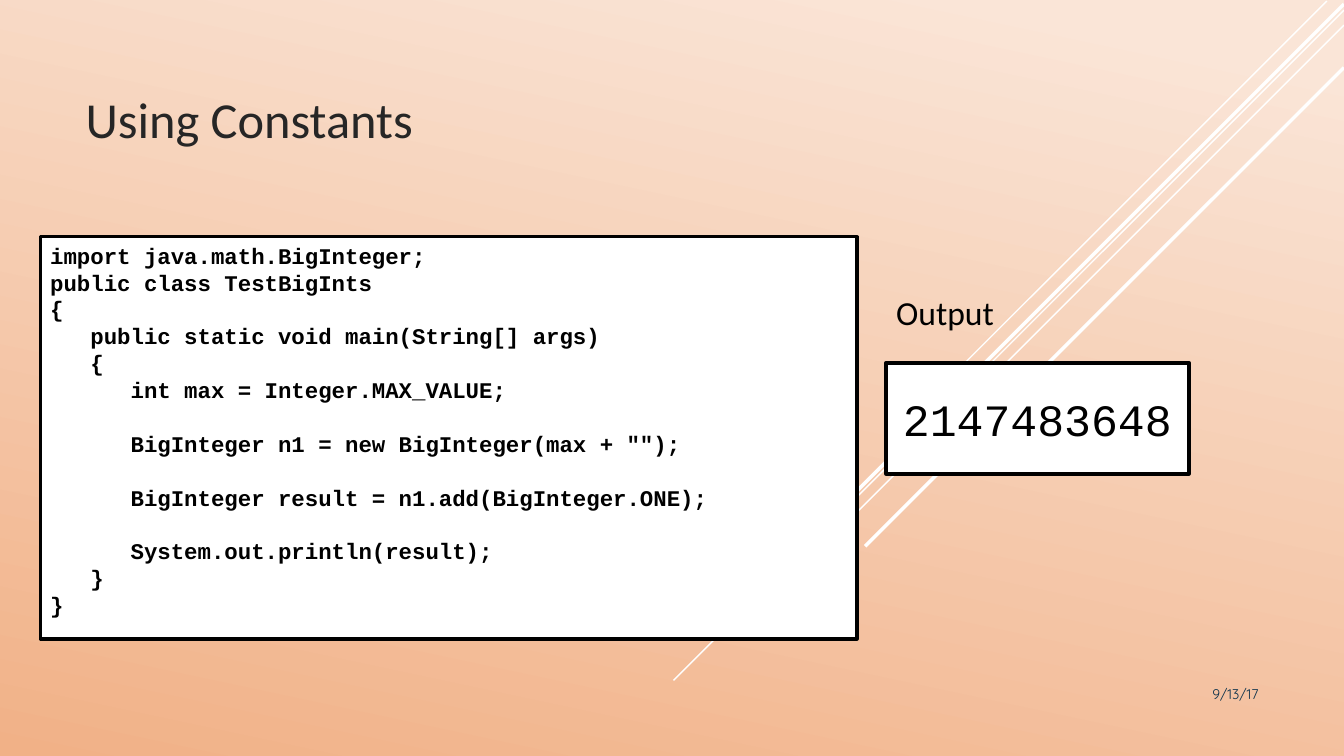
from lxml.etree import SubElement
from pptx import Presentation
from pptx.dml.color import RGBColor
from pptx.enum.shapes import MSO_CONNECTOR as LINK, MSO_SHAPE as SHAPE
from pptx.enum.text import MSO_ANCHOR as ANCHOR, PP_ALIGN as ALIGN
from pptx.oxml.ns import qn
from pptx.util import Inches, Pt

WHITE = RGBColor(0xFF, 0xFF, 0xFF)
BLACK = RGBColor(0, 0, 0)
GREY = RGBColor(0x26, 0x26, 0x26)
NAVY = RGBColor(0x0A, 0x30, 0x4A)
PALE = RGBColor(0xFA, 0xE5, 0xD7)
PEACH = RGBColor(0xF1, 0xB1, 0x87)

CODE = """import java.math.BigInteger;
public class TestBigInts
{
   public static void main(String[] args)
   {
      int max = Integer.MAX_VALUE;

      BigInteger n1 = new BigInteger(max + "");

      BigInteger result = n1.add(BigInteger.ONE);

      System.out.println(result);
   }
}"""

# Diagonals: start x, start y, run (down and left at 45 degrees), weight
RAYS = [
    (13.16, 0.01, 4.16, 1),
    (13.33, 0.1, 6.65, 1),
    (13.33, 0.25, 5.42, 1),
    (13.33, 0.04, 5.3, 2.5),
    (13.33, 0.67, 4.75, 2.5),
]

# Text, place, border weight (0 for none), anchor, paragraph format, font, colour
TEXTS = [
    (CODE, (0.4, 2.35, 8.1, 3.99), 2.25, ANCHOR.TOP,
     dict(alignment=ALIGN.LEFT),
     dict(name="Courier New", size=Pt(16), bold=True), BLACK),
    ("Using Constants", (0.75, 0.49, 8.75, 1.03), 0, ANCHOR.BOTTOM,
     dict(alignment=ALIGN.LEFT),
     dict(name="Calibri", size=Pt(36)), GREY),
    ("9/13/17", (10.83, 6.75, 1.75, 0.4), 0, ANCHOR.TOP,
     dict(alignment=ALIGN.RIGHT),
     dict(name="Quicksand", size=Pt(10)), NAVY),
    ("Output", (8.79, 2.85, 1.29, 0.59), 0, ANCHOR.TOP,
     dict(alignment=ALIGN.JUSTIFY, space_after=Pt(6)),
     dict(name="Calibri", size=Pt(24)), BLACK),
    ("2147483648", (8.79, 3.6, 3, 1.1), 3, ANCHOR.MIDDLE,
     dict(alignment=ALIGN.CENTER),
     dict(name="Courier New", size=Pt(32)), BLACK),
]


def assign(item, values):
    for key, value in values.items():
        setattr(item, key, value)


def paint(slide):
    """Fill the background with the peach gradient."""
    fill = slide.background.fill
    fill.gradient()
    fill.gradient_angle = 258
    for stop, (place, color) in zip(fill.gradient_stops, [(0.07, PALE), (1, PEACH)]):
        stop.position = place
        stop.color.rgb = color


def add_ray(slide, x, y, run, weight):
    ends = [Inches(v) for v in (x, y, x - run, y + run)]
    ray = slide.shapes.add_connector(LINK.STRAIGHT, *ends)
    ray.line.color.rgb = WHITE
    ray.line.width = Pt(weight)
    SubElement(ray._element.spPr, qn("a:effectLst"))


def add_text(slide, text, place, border, anchor, layout, font, color):
    place = [Inches(v) for v in place]
    if border:
        box = slide.shapes.add_shape(SHAPE.RECTANGLE, *place)
        box.shadow.inherit = False
        box.fill.solid()
        box.fill.fore_color.rgb = WHITE
        box.line.color.rgb = BLACK
        box.line.width = Pt(border)
    else:
        box = slide.shapes.add_textbox(*place)
    frame = box.text_frame
    assign(frame, dict(word_wrap=True, vertical_anchor=anchor))
    para = frame.paragraphs[0]
    para.text = text
    assign(para, layout)
    for run in para.runs:
        assign(run.font, font)
        run.font.color.rgb = color
    assign(para.font, font)


def main():
    deck = Presentation()
    deck.slide_width, deck.slide_height = Inches(13.33), Inches(7.5)
    slide = deck.slides.add_slide(deck.slide_layouts[6])
    paint(slide)
    for ray in RAYS:
        add_ray(slide, *ray)
    for item in TEXTS:
        add_text(slide, *item)
    deck.save("out.pptx")


if __name__ == "__main__":
    main()
